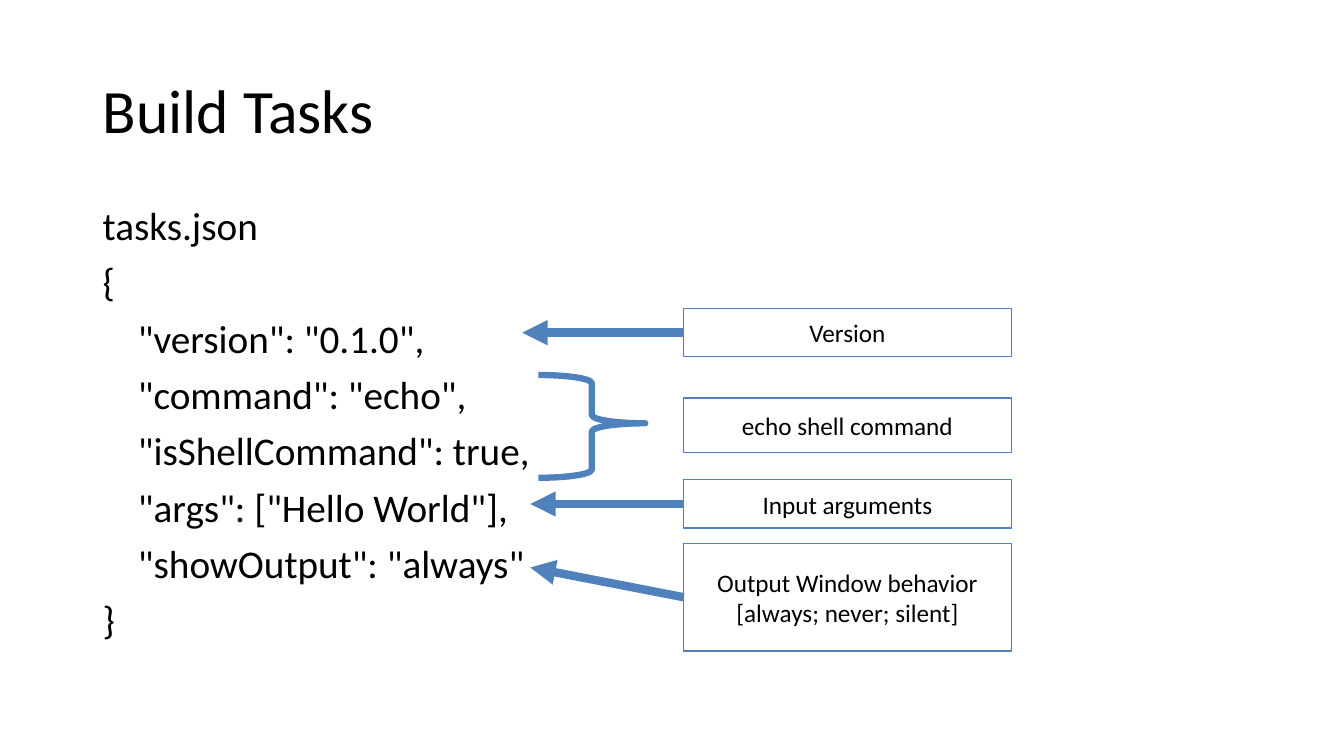
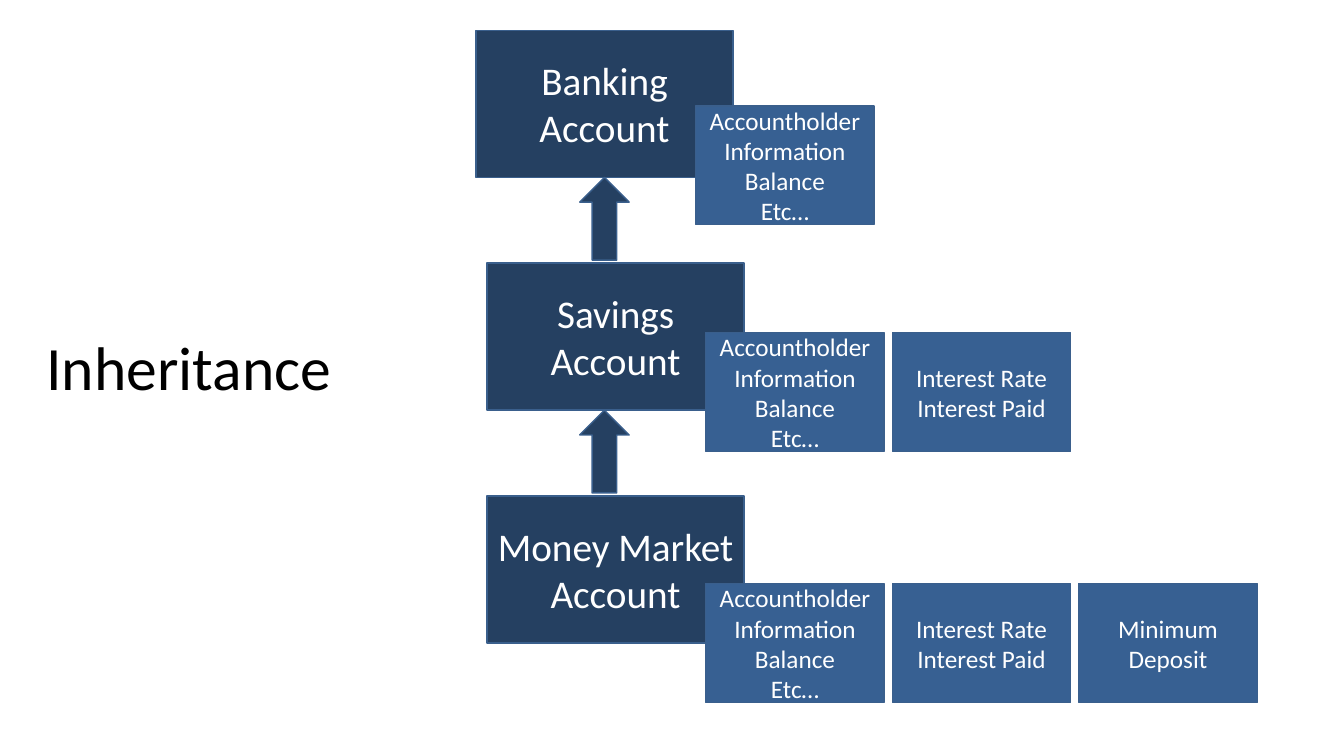
from lxml import etree
from pptx import Presentation
from pptx import util as u
from pptx.dml.color import RGBColor
from pptx.enum import shapes, text
from pptx.oxml import ns

BLACK = RGBColor(0x00, 0x00, 0x00)
WHITE = RGBColor(0xFF, 0xFF, 0xFF)
BLUE = RGBColor(0x4F, 0x81, 0xBD)
NAVY = RGBColor(0x25, 0x40, 0x61)
STEEL = RGBColor(0x37, 0x60, 0x92)
EDGE = RGBColor(0x3A, 0x5F, 0x8C)


class Deck:
    font = "Calibri"
    title_size = 44
    body_size = 28
    label_size = 18
    line_spacing = 0.9

    def __init__(self):
        self.deck = Presentation()
        self.deck.slide_width = u.Inches(13.33)
        self.deck.slide_height = u.Inches(7.5)
        self.page = None

    def add_page(self, title, *place):
        self.page = self.deck.slides.add_slide(self.deck.slide_layouts[5])
        box = self.page.shapes.title
        box.left, box.top, box.width, box.height = map(u.Inches, place)
        frame = box.text_frame
        frame.auto_size = text.MSO_AUTO_SIZE.NONE
        frame.vertical_anchor = text.MSO_ANCHOR.MIDDLE
        self.add_lines(frame, [title], self.title_size, BLACK, text.PP_ALIGN.LEFT)
        frame.paragraphs[0].line_spacing = self.line_spacing

    def add_lines(self, frame, lines, size, color, align):
        frame.word_wrap = True
        for index, line in enumerate(lines):
            para = frame.add_paragraph() if index else frame.paragraphs[0]
            para.alignment = align
            span = para.add_run()
            span.text = line
            span.font.name = self.font
            span.font.size = u.Pt(size)
            span.font.color.rgb = color

    def code(self, lines, indented, indent, *place):
        box = self.page.shapes.add_textbox(*map(u.Inches, place))
        frame = box.text_frame
        self.add_lines(frame, lines, self.body_size, BLACK, text.PP_ALIGN.LEFT)
        for index, para in enumerate(frame.paragraphs):
            para.line_spacing = self.line_spacing
            para.space_before = u.Pt(10)
            if index in indented:
                para._p.get_or_add_pPr().set("marL", str(u.Inches(indent)))

    def shape(self, kind, place, fill, line, weight=1):
        shape = self.page.shapes.add_shape(kind, *map(u.Inches, place))
        shape.shadow.inherit = False
        if fill is None:
            shape.fill.background()
        else:
            shape.fill.solid()
            shape.fill.fore_color.rgb = fill
        shape.line.color.rgb = line
        shape.line.width = u.Pt(weight)
        return shape

    def box(self, lines, place, fill, line, color, size=label_size):
        box = self.shape(shapes.MSO_SHAPE.RECTANGLE, place, fill, line)
        frame = box.text_frame
        frame.vertical_anchor = text.MSO_ANCHOR.MIDDLE
        self.add_lines(frame, lines, size, color, text.PP_ALIGN.CENTER)

    def brace(self, *place):
        brace = self.shape(shapes.MSO_SHAPE.RIGHT_BRACE, place, None, BLUE, 4.5)
        brace.adjustments[0] = 0.08
        brace.adjustments[1] = 0.47

    def arrow(self, *ends):
        arrow = self.page.shapes.add_connector(
            shapes.MSO_CONNECTOR.STRAIGHT, *map(u.Inches, ends))
        arrow.line.color.rgb = BLUE
        arrow.line.width = u.Pt(6)
        properties = arrow._element.spPr
        outline = properties.find(ns.qn("a:ln"))
        tail = etree.SubElement(outline, ns.qn("a:tailEnd"))
        tail.set("type", "triangle")
        etree.SubElement(properties, ns.qn("a:effectLst"))


def build_tasks(deck):
    deck.add_page("Build Tasks", 0.92, 0.4, 11.5, 1.45)
    lines = [
        "tasks.json",
        "{",
        '"version": "0.1.0",',
        '"command": "echo",',
        '"isShellCommand": true,',
        '"args": ["Hello World"],',
        '"showOutput": "always"',
        "}",
    ]
    deck.code(lines, range(2, 7), 0.35, 0.92, 2, 11.5, 4.76)
    deck.brace(5.34, 3.72, 1.06, 1.02)

    left, width = 6.78, 3.25
    callouts = [
        (["Version"], 3.06, 0.48, (5.18, 3.3)),
        (["echo shell command"], 3.95, 0.54, None),
        (["Input arguments"], 4.76, 0.48, (5.26, 5)),
        (["Output Window behavior", "[always; never; silent]"],
         5.39, 1.07, (5.26, 5.63)),
    ]
    for label, top, height, target in callouts:
        deck.box(label, (left, top, width, height), WHITE, BLUE, BLACK)
        if target:
            deck.arrow(left, top + height / 2, *target)


def build_inheritance(deck):
    deck.add_page("Inheritance", 0.36, 2.59, 3.27, 2.17)
    holder = ["Accountholder Information", "Balance", "Etc…"]
    interest = ["Interest Rate", "Interest Paid"]
    deposit = ["Minimum Deposit"]
    accounts = [
        ("Banking Account", 4.72, 6.9, 1.05, [holder]),
        ("Savings Account", 4.83, 7, 3.3, [holder, interest]),
        ("Money Market Account", 4.83, 7, 5.79, [holder, interest, deposit]),
    ]
    first_top, step, height = 0.3, 2.31, 1.46
    for row, (name, left, trait_left, trait_top, traits) in enumerate(accounts):
        top = first_top + row * step
        deck.box([name], (left, top, 2.55, height), NAVY, EDGE, WHITE,
                 deck.body_size)
        if row < len(accounts) - 1:
            deck.shape(shapes.MSO_SHAPE.UP_ARROW,
                       (5.75, top + height, 0.49, 0.82), NAVY, EDGE)
        for column, trait in enumerate(traits):
            place = (trait_left + column * 1.85, trait_top, 1.77, 1.18)
            deck.box(trait, place, STEEL, EDGE, WHITE)


def main():
    deck = Deck()
    build_tasks(deck)
    build_inheritance(deck)
    deck.deck.save("out.pptx")


if __name__ == "__main__":
    main()
